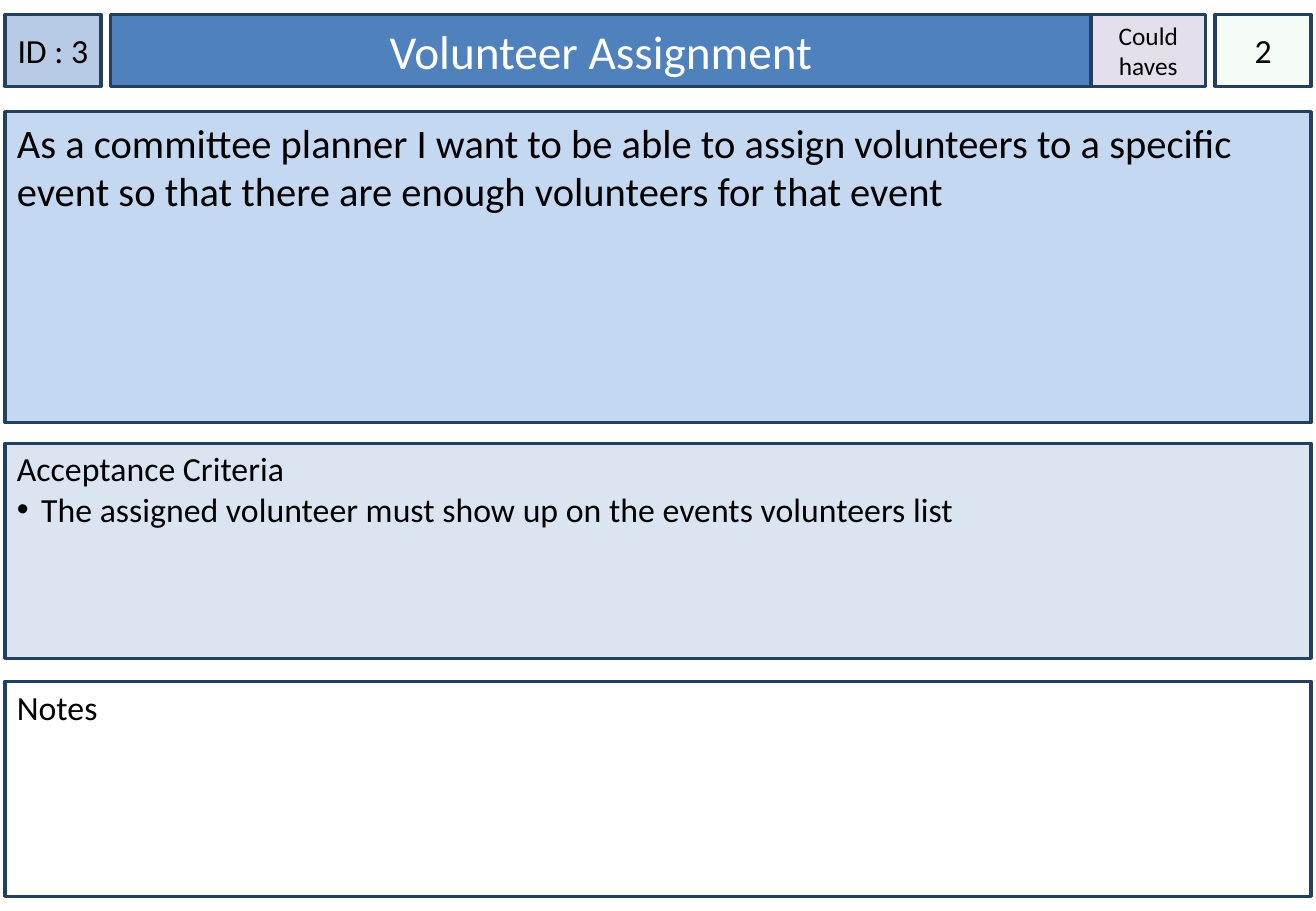
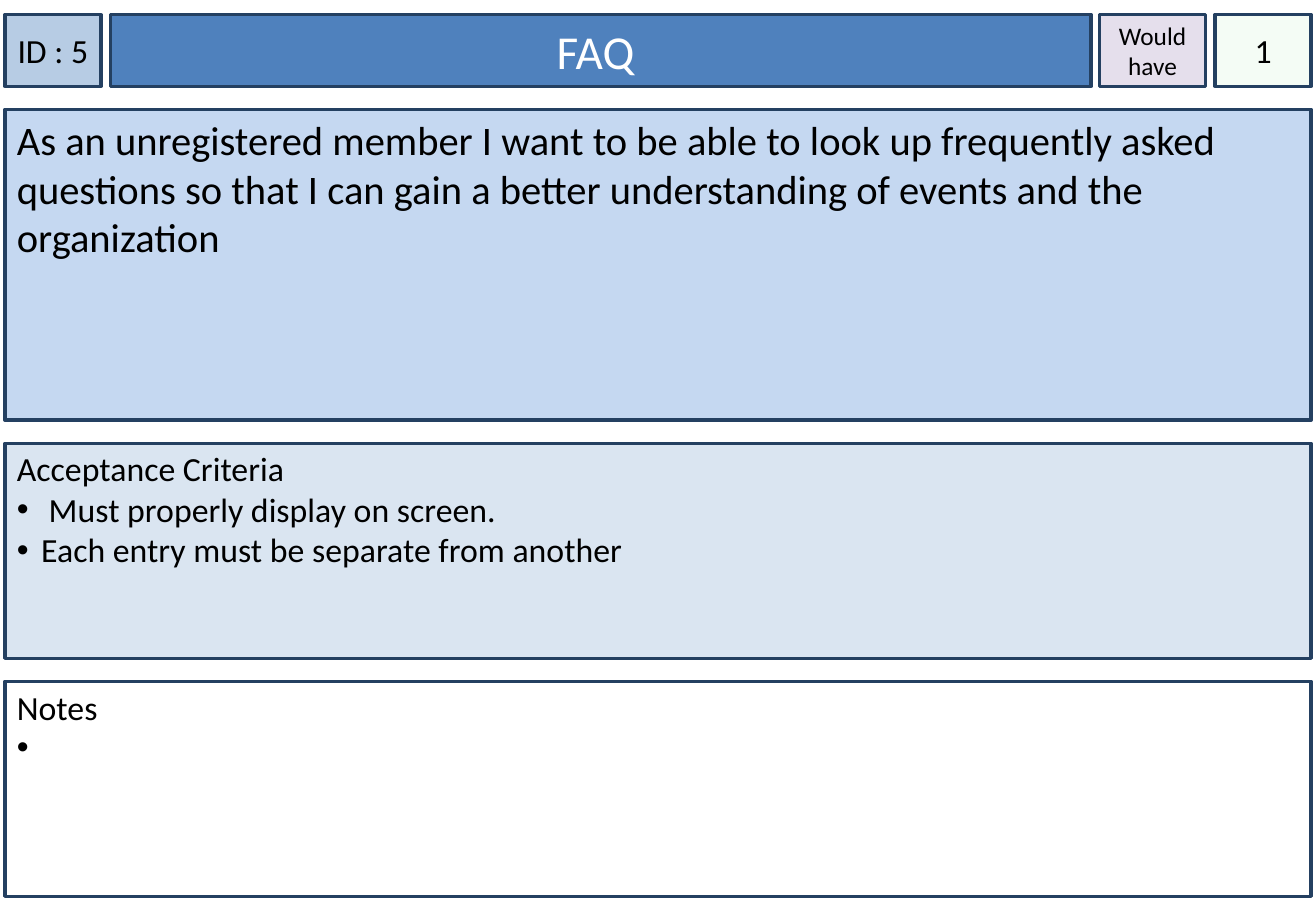
from lxml import etree
from pptx import Presentation
from pptx import util as u
from pptx.dml.color import RGBColor
from pptx.enum import shapes, text
from pptx.oxml.ns import qn

FONT = "Calibri"
HUES = {
    "edge": "244061", "ink": "000000", "white": "FFFFFF",
    "id": "B7CCE4", "title": "4F81BD", "story": "C5D8F1",
    "tests": "DAE5F1", "rank": "E5DFEC", "points": "CCF0CD",
}
LEFT, WIDE = 0.04, 10.75
HEAD = (LEFT, 0.12, WIDE, 0.59)
SIDE = 0.79   # width of the ID and points boxes
GAP = 0.08    # space between boxes in the header


def rgb(name):
    return RGBColor.from_string(HUES[name])


def panel(slide, box, hue, pad=0.1, top=0.05, mid=False):
    """Outlined rectangle; returns its text frame."""
    rect = slide.shapes.add_shape(
        shapes.MSO_SHAPE.RECTANGLE, *[u.Inches(n) for n in box])
    rect.shadow.inherit = False
    rect.fill.solid()
    rect.fill.fore_color.rgb = rgb(hue)
    rect.line.color.rgb = rgb("edge")
    rect.line.width = u.Pt(2)
    if hue == "points":  # pale tint
        clr = rect.fill._xPr.find(".//" + qn("a:srgbClr"))
        etree.SubElement(clr, qn("a:alpha")).set("val", "20000")
    frame = rect.text_frame
    frame.word_wrap = True
    frame.margin_left = frame.margin_right = u.Inches(pad)
    frame.margin_top, frame.margin_bottom = u.Inches(top), u.Inches(0.05)
    anchor = text.MSO_ANCHOR
    frame.vertical_anchor = anchor.MIDDLE if mid else anchor.TOP
    return frame


def write(para, words, size, ink="ink", align=text.PP_ALIGN.LEFT):
    para.alignment = align
    run = para.add_run()
    run.text = words
    run.font.name, run.font.size = FONT, u.Pt(size)
    run.font.color.rgb = rgb(ink)


def bullet(para):
    props = para._p.get_or_add_pPr()
    props.set("marL", str(u.Inches(0.2)))
    props.set("indent", str(-u.Inches(0.2)))
    clr = etree.SubElement(props, qn("a:buClr"))
    etree.SubElement(clr, qn("a:srgbClr")).set("val", HUES["ink"])
    etree.SubElement(props, qn("a:buFont")).set("typeface", "Arial")
    etree.SubElement(props, qn("a:buChar")).set("char", "•")


def header(slide, box, num, title, rank, points, room):
    """Row of ID, title, priority and points; room is the priority width."""
    x, y, w, h = box
    end = x + w - SIDE
    start = x + SIDE + GAP
    cells = [
        (x, SIDE, "id", f"ID : {num}", 20, "ink", 0),
        (start, 8.07, "title", title, 28, "white", 0.1),
        (end, SIDE, "points", points, 20, "ink", 0),
        (end - GAP - room, room, "rank", rank, 15, "ink", 0),
    ]
    for left, wide, hue, words, size, ink, pad in cells:
        frame = panel(slide, (left, y, wide, h), hue, pad, mid=True)
        write(frame.paragraphs[0], words, size, ink, text.PP_ALIGN.CENTER)


def story(slide, box, words):
    write(panel(slide, box, "story").paragraphs[0], words, 24)


def listing(slide, box, hue, label, items):
    """Labelled panel with bullets."""
    frame = panel(slide, box, hue, top=0.04)
    write(frame.paragraphs[0], label, 20)
    for item in items:
        para = frame.add_paragraph()
        bullet(para)
        write(para, item, 20)


def card(deck, head, top, words, tests, notes):
    slide = deck.slides.add_slide(deck.slide_layouts[6])
    header(slide, HEAD, *head)
    story(slide, (LEFT, top, WIDE, 2.56), words)
    listing(slide, (LEFT, 3.65, WIDE, 1.77), "tests",
            "Acceptance Criteria", tests)
    listing(slide, (LEFT, 5.61, WIDE, 1.77), "white", "Notes", notes)


def main():
    deck = Presentation()
    deck.slide_width, deck.slide_height = u.Inches(10.83), u.Inches(7.5)
    card(deck, (3, "Volunteer Assignment", "Could haves", "2", 0.94), 0.92,
         "As a committee planner I want to be able to assign volunteers to a "
         "specific event so that there are enough volunteers for that event",
         ["The assigned volunteer must show up on the events volunteers list"],
         [])
    card(deck, (5, "FAQ ", "Would have", "1", 0.87), 0.9,
         "As an unregistered member I want to be able to look up frequently "
         "asked questions so that I can gain a better understanding of events "
         "and the organization",
         [" Must properly display on screen.",
          "Each entry must be separate from another"],
         [" "])
    deck.save("out.pptx")


if __name__ == "__main__":
    main()
